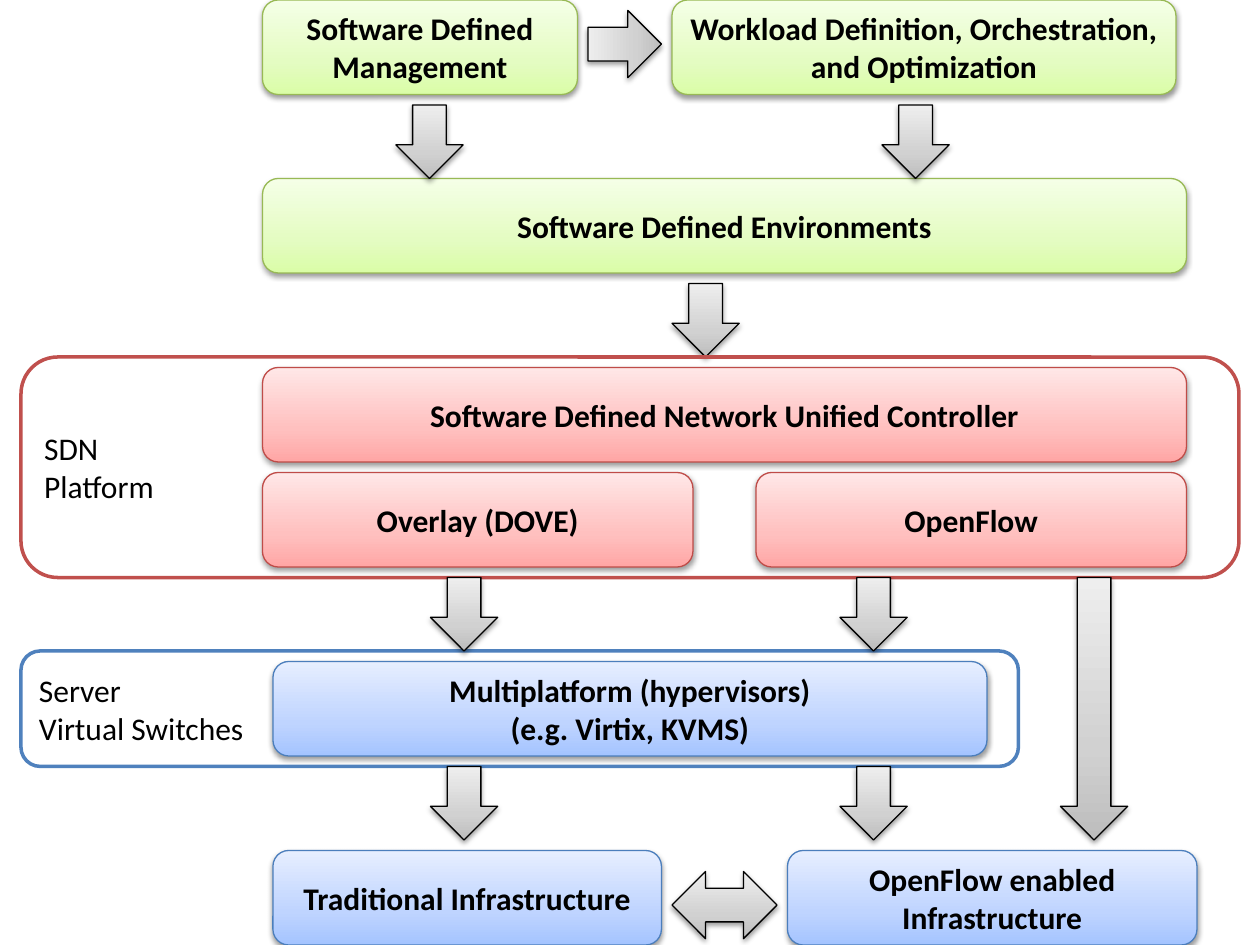
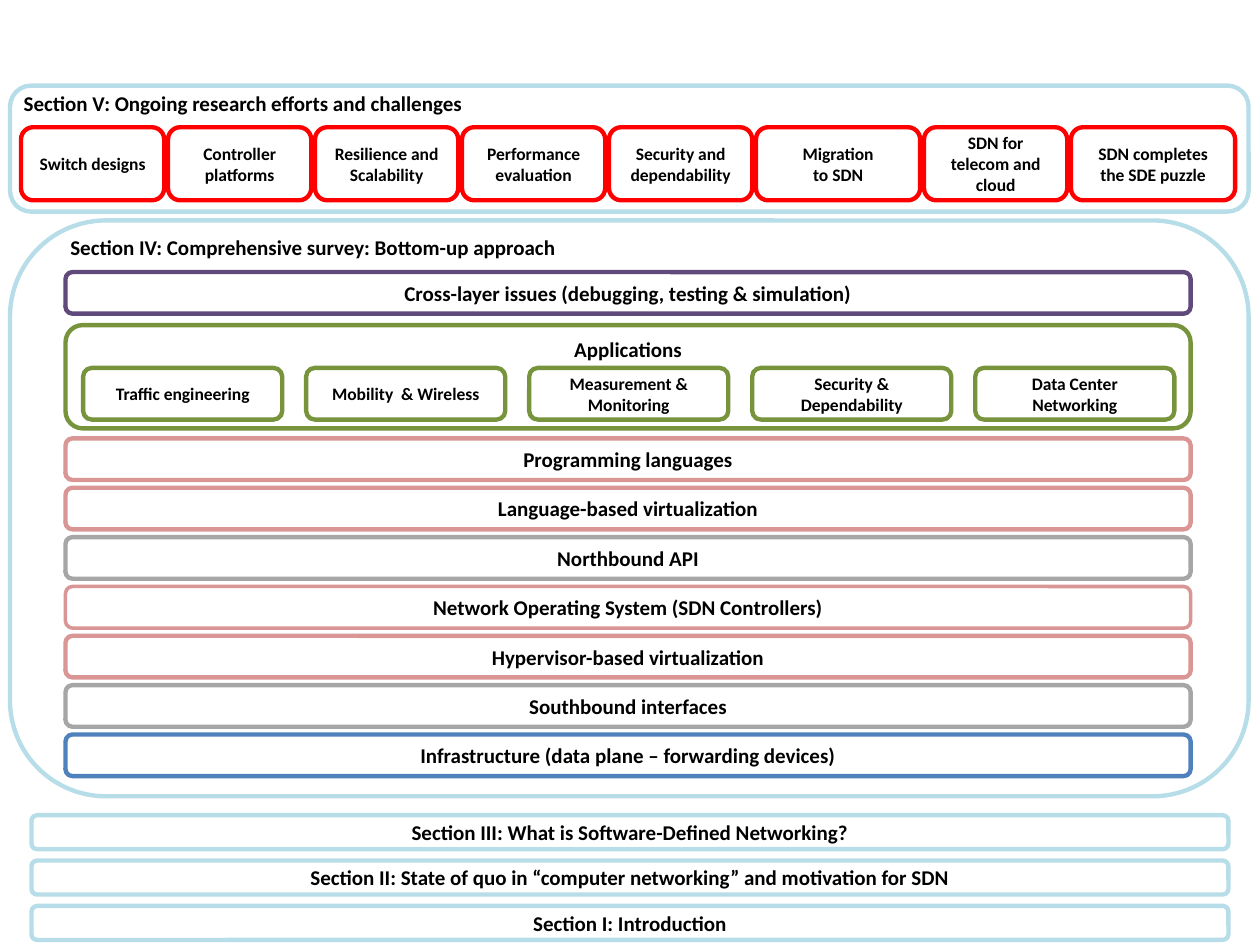
from lxml import etree
from pptx import Presentation
from pptx import util as u
from pptx.dml.color import RGBColor
from pptx.enum import shapes, text
from pptx.oxml import ns

COLORS = {
    "black": "000000", "white": "FFFFFF", "red": "FF0000",
    "brick": "C0504D", "blue": "4F81BD", "sky": "B7DEE8", "grey": "A6A6A6",
    "rose": "D99694", "olive": "77933C", "purple": "604A7B",
}
# Line colour, then gradient stops at 0, 35 and 100 percent, bottom to top
GLOSSY = {
    "green": ("98B955", "DAFDA7", "E4FCC2", "F5FFE7"),
    "red": ("BF4C48", "FFA6A5", "FFC0BF", "FFE7E7"),
    "blue": ("4B7EBC", "A4C4FF", "BFD4FF", "E6EEFF"),
    "grey": ("000000", "BDBDBD", "D1D1D1", "EEEEEE"),
}
FONT = "Calibri"
UNIT = 1 / 12  # grid step of the architecture slide, in inches
ROUND = shapes.MSO_SHAPE.ROUNDED_RECTANGLE
DOWN = shapes.MSO_SHAPE.DOWN_ARROW
ARROW_W, ARROW_L = 6.4, 7  # in grid steps


# Shared elements
def write(sp, words, size, bold=True, align=text.PP_ALIGN.CENTER):
    tf = sp.text_frame
    tf.word_wrap = True
    tf.text = words
    for p in tf.paragraphs:
        p.alignment = align
        p.font.name, p.font.size, p.font.bold = FONT, u.Pt(size), bold
        p.font.color.rgb = RGBColor.from_string(COLORS["black"])


def add_shape(s, kind, box, line, width):
    sp = s.shapes.add_shape(kind, *(u.Inches(v) for v in box))
    sp.shadow.inherit = False
    sp.line.color.rgb = RGBColor.from_string(line)
    sp.line.width = u.Pt(width)
    return sp


def outline(s, box, color, words="", size=12, width=2.5):
    sp = add_shape(s, ROUND, box, COLORS[color], width)
    sp.fill.solid()
    sp.fill.fore_color.rgb = RGBColor.from_string(COLORS["white"])
    if words:
        write(sp, words, size)
    return sp


def heading(s, left, top, words):
    sp = s.shapes.add_textbox(*(u.Inches(v) for v in (left, top, 5, 0.3)))
    write(sp, words, 12, align=text.PP_ALIGN.LEFT)


# Elements of the architecture slide, placed in grid steps
def on_grid(*cells):
    return [c * UNIT for c in cells]


def glossy(s, kind, cells, tone):
    line, *stops = GLOSSY[tone]
    sp = add_shape(s, kind, on_grid(*cells), line, 0.75)
    sp.fill.gradient()
    sp.fill.gradient_angle = 90
    gs_list = sp._element.spPr.find(".//" + ns.qn("a:gsLst"))
    for gs in list(gs_list):
        gs_list.remove(gs)
    for pos, color in zip((0, 35000, 100000), stops):
        gs = etree.SubElement(gs_list, ns.qn("a:gs"), pos=str(pos))
        etree.SubElement(gs, ns.qn("a:srgbClr"), val=color)
    effects = sp._element.spPr.find(ns.qn("a:effectLst"))
    shadow = etree.SubElement(
        effects, ns.qn("a:outerShdw"), blurRad=str(u.Pt(3.1)),
        dist=str(u.Pt(1.6)), dir="5400000", rotWithShape="0")
    color = etree.SubElement(shadow, ns.qn("a:srgbClr"), val=COLORS["black"])
    etree.SubElement(color, ns.qn("a:alpha"), val="38000")
    return sp


def block(s, col, row, cols, tone, words):
    write(glossy(s, ROUND, (col, row, cols, 9), tone), words, 18)


def down_arrow(s, col, row, length=ARROW_L):
    return glossy(s, DOWN, (col, row, ARROW_W, length), "grey")


def panel(s, cells, color, words):
    sp = add_shape(s, ROUND, on_grid(*cells), COLORS[color], 2)
    sp.fill.background()
    write(sp, words, 18, bold=False, align=text.PP_ALIGN.LEFT)


def architecture(s):
    for item in (
        (26, 63, 68, "blue", "Multiplatform (hypervisors)\n(e.g. Virtix, KVMS)"),
        (64, 0, 48, "green", "Workload Definition, Orchestration, and Optimization"),
        (25, 17, 88, "green", "Software Defined Environments"),
        (26, 81, 37, "blue", "Traditional Infrastructure"),
        (75, 81, 39, "blue", "OpenFlow enabled Infrastructure"),
        (25, 0, 30, "green", "Software Defined Management"),
        (25, 35, 88, "red", "Software Defined Network Unified Controller"),
        (25, 45, 41, "red", "Overlay (DOVE)"),
        (72, 45, 41, "red", "OpenFlow"),
    ):
        block(s, *item)

    # Arrows above the platform
    for col, row in ((37.7, 10), (84, 10), (64, 27)):
        down_arrow(s, col, row)
    down_arrow(s, 56.3, 0.7).rotation = 270

    # Platform frames
    panel(s, (2, 34, 116, 21), "brick", "SDN\nPlatform")
    panel(s, (2, 62, 95, 11), "blue", "Server\nVirtual Switches")

    # Arrows towards the infrastructure
    for row in (55, 73):
        for col in (41, 80):
            down_arrow(s, col, row)
    down_arrow(s, 101, 55, 25)
    glossy(s, shapes.MSO_SHAPE.LEFT_RIGHT_ARROW, (64, 83, 10, ARROW_W), "grey")


def survey(s):
    # Section V: challenges, with spans in sixths of an inch
    outline(s, (0.08, 0.68, 9.83, 1), "sky")
    heading(s, 0.09, 0.67, "Section V: Ongoing research efforts and challenges")
    col = 1
    for span, words in (
        (7, "Switch designs"), (7, "Controller platforms"),
        (7, "Resilience and Scalability"), (7, "Performance evaluation"),
        (7, "Security and dependability"), (8, "Migration\nto SDN"),
        (7, "SDN for telecom and cloud"), (8, "SDN completes the SDE puzzle"),
    ):
        outline(s, (col / 6, 1.01, span / 6 - 0.03, 0.58), "red", words, 10)
        col += span

    # Section IV: layers
    outline(s, (0.08, 1.75, 9.83, 4.57), "sky")
    heading(s, 0.46, 1.81, "Section IV: Comprehensive survey: Bottom-up approach")
    left, width, height = 0.52, 8.93, 0.33
    outline(s, (left, 2.16, width, height), "purple",
            "Cross-layer issues (debugging, testing & simulation)")
    apps = outline(s, (left, 2.58, width, 0.82), "olive", "Applications")
    apps.text_frame.vertical_anchor = text.MSO_ANCHOR.TOP
    for i, words in enumerate((
        "Traffic engineering", "Mobility  & Wireless",
        "Measurement & Monitoring", "Security & Dependability",
        "Data Center Networking",
    )):
        outline(s, (0.66 + 1.77 * i, 2.92, 1.58, 0.41), "olive", words, 10)
    for i, (color, words, line) in enumerate((
        ("rose", "Programming languages", 2.5),
        ("rose", "Language-based virtualization", 2.5),
        ("grey", "Northbound API", 2.5),
        ("rose", "Network Operating System (SDN Controllers)", 2),
        ("rose", "Hypervisor-based virtualization", 2.5),
        ("grey", "Southbound interfaces", 2.5),
        ("blue", "Infrastructure (data plane – forwarding devices)", 2.5),
    )):
        outline(s, (left, 3.48 + 2.35 / 6 * i, width, height), color, words,
                width=line)

    # Sections III to I
    for i, words in enumerate((
        "Section III: What is Software-Defined Networking?",
        "Section II: State of quo in “computer networking” and motivation for SDN",
        "Section I: Introduction",
    )):
        outline(s, (0.25, 6.47 + 0.36 * i, 9.5, 0.27), "sky", words)


def main():
    prs = Presentation()
    prs.slide_width, prs.slide_height = u.Inches(10), u.Inches(7.5)
    blank = prs.slide_layouts[6]
    for build in (architecture, survey):
        build(prs.slides.add_slide(blank))
    prs.save("out.pptx")


if __name__ == "__main__":
    main()
